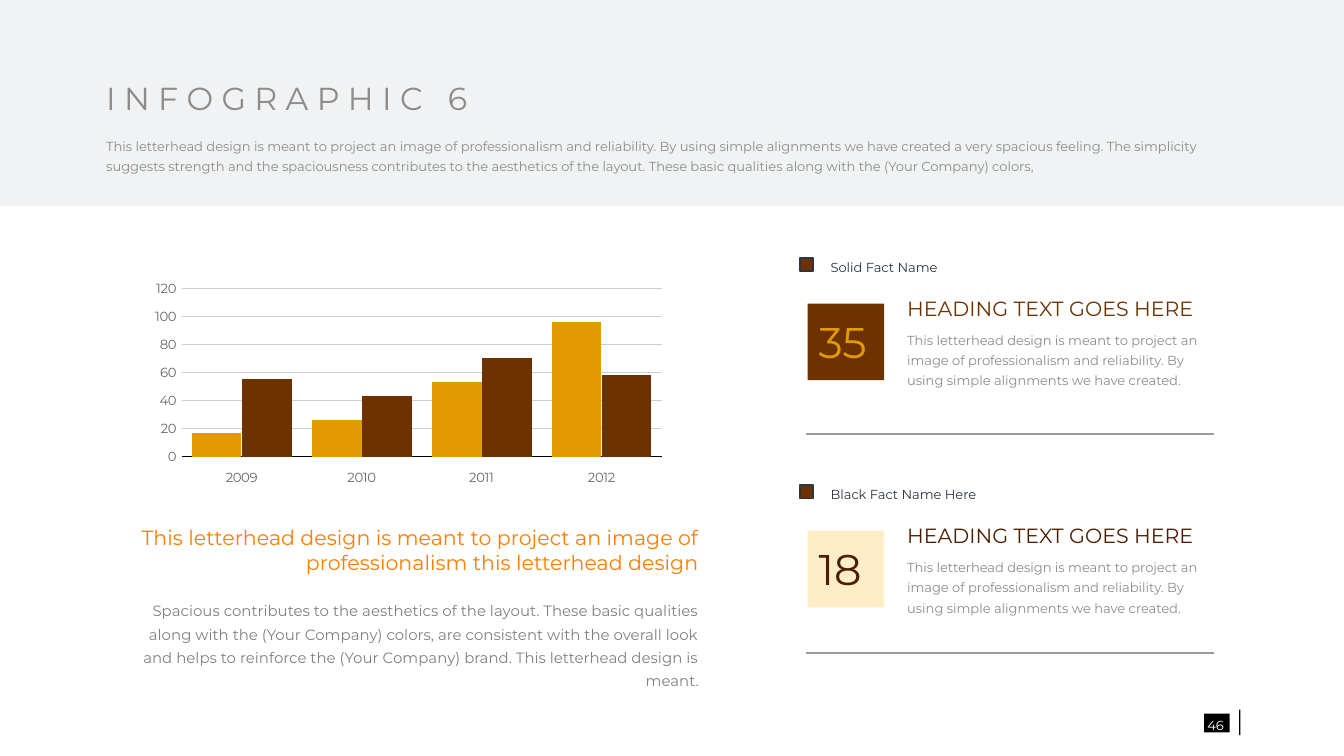
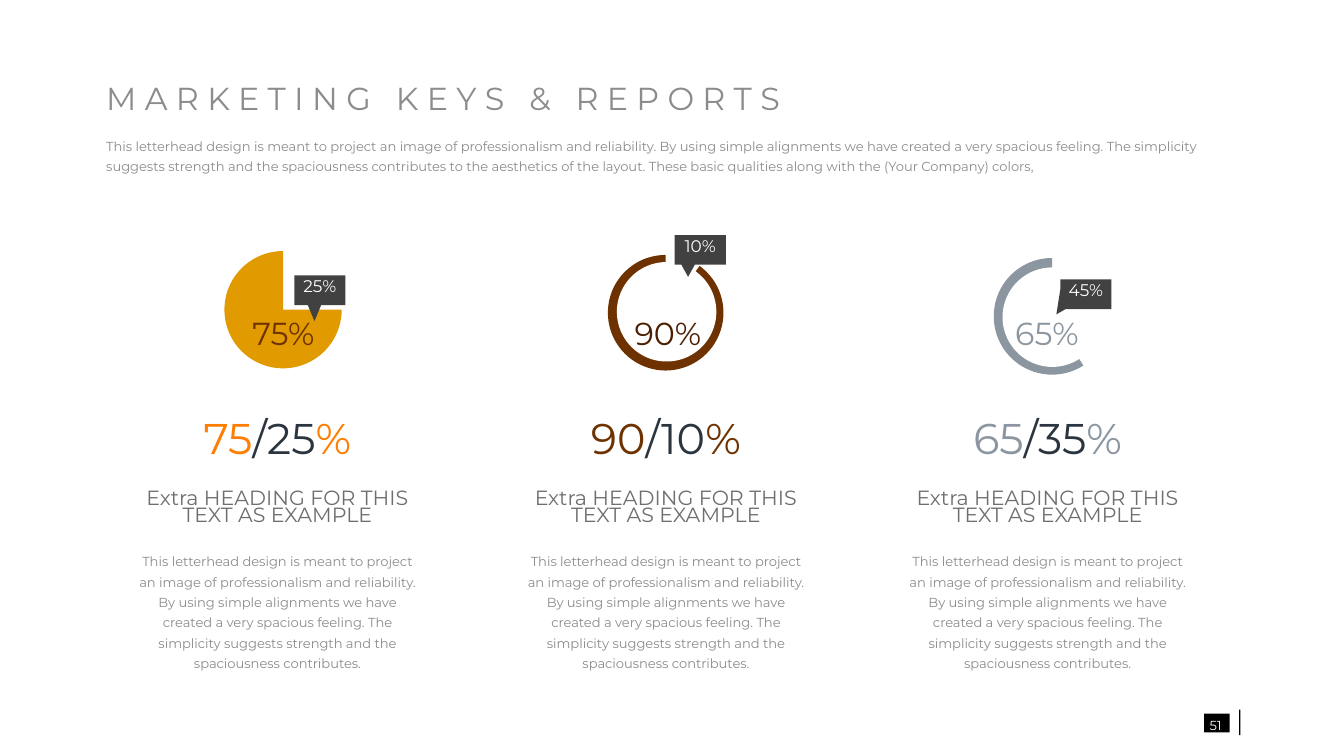
"""Build two report slides: a column chart with facts, and three shares."""
from pptx import Presentation
from pptx.chart.data import CategoryChartData as Data
from pptx.dml.color import RGBColor as RGB
from pptx.enum.chart import XL_CHART_TYPE as Kind
from pptx.enum.chart import XL_TICK_LABEL_POSITION as Label
from pptx.enum.chart import XL_TICK_MARK as Tick
from pptx.enum.shapes import MSO_CONNECTOR as Line
from pptx.enum.shapes import MSO_SHAPE as Shape
from pptx.enum.text import MSO_ANCHOR as Anchor
from pptx.enum.text import PP_ALIGN as Align
from pptx.oxml import parse_xml
from pptx.oxml.ns import nsdecls, qn
from pptx.util import Inches, Pt

FONT = "Montserrat"
GOLD, BROWN, DARK, ORANGE = "E19B00", "6E3200", "4B1E00", "FF7D00"
GRAY, STEEL, NAVY, WHITE = "8C8C8C", "8C96A0", "2B353F", "FFFFFF"
LETTER = "This letterhead design is meant to project an image of professionalism"
SIMPLE = LETTER + " and reliability. By using simple alignments we have created"
INTRO = (SIMPLE + " a very spacious feeling. The simplicity suggests strength and the "
         "spaciousness contributes to the aesthetics of the layout. These basic "
         "qualities along with the (Your Company) colors,")
BODY = (SIMPLE + " a very spacious feeling. The simplicity suggests strength and the "
        "spaciousness contributes.")
SUMMARY = ("Spacious contributes to the aesthetics of the layout. These basic qualities "
           "along with the (Your Company) colors, are consistent with the overall look "
           "and helps to reinforce the (Your Company) brand. This letterhead design is "
           "meant.")


def paint(target, color):
    """Give a fill or a line a solid colour."""
    target.fill.solid()
    target.fill.fore_color.rgb = RGB.from_string(color)


def place(box):
    """Turn a box in inches into lengths."""
    return [Inches(side) for side in box]


def write(slide, text, box, size=7, color=GRAY, align=Align.LEFT, space=1.3,
          anchor=Anchor.MIDDLE):
    """Add a text box from a string or from (text, colour) runs."""
    frame = slide.shapes.add_textbox(*place(box)).text_frame
    frame.word_wrap = True
    frame.vertical_anchor = anchor
    frame.margin_left = frame.margin_right = 0
    frame.margin_top = frame.margin_bottom = 0
    para = frame.paragraphs[0]
    for words, tint in [(text, color)] if isinstance(text, str) else text:
        for row, line in enumerate(words.split("\n")):
            if row:
                para = frame.add_paragraph()
            run = para.add_run()
            run.text = line
            run.font.name = FONT
            run.font.size = Pt(size)
            run.font.color.rgb = RGB.from_string(tint)
    for para in frame.paragraphs:
        para.alignment = align
        para.line_spacing = space


def block(slide, box, color, edge=None, kind=Shape.RECTANGLE):
    """Add a flat shape, outlined only if an edge colour is given."""
    shape = slide.shapes.add_shape(kind, *place(box))
    shape.shadow.inherit = False
    paint(shape, color)
    if edge:
        paint(shape.line, edge)
        shape.line.width = Pt(1)
    else:
        shape.line.fill.background()
    return shape


def rule(slide, left, right, top):
    """Add a thin horizontal divider."""
    line = slide.shapes.add_connector(Line.STRAIGHT, *place((left, top, right, top)))
    paint(line.line, "9B9B9B")
    line.line.width = Pt(1)
    line._element.spPr.append(parse_xml(f"<a:effectLst {nsdecls('a')}/>"))


def head(slide, title, width):
    """Add the spaced title and the introduction."""
    write(slide, " ".join(title), (0.79, 0.6, width, 0.33), size=17, space=0.7)
    write(slide, INTRO, (0.79, 0.99, 8.31, 0.31))


def foot(slide, number):
    """Add the page number box and its bar."""
    block(slide, (8.96, 5.31, 0.19, 0.14), "000000")
    write(slide, number, (8.93, 5.3, 0.23, 0.16), color=WHITE, align=Align.CENTER)
    block(slide, (9.22, 5.28, 0.01, 0.19), "000000")


def graph(slide, kind, box, plot, names, series):
    """Add a chart whose inner plot area has fixed fractions."""
    data = Data()
    data.categories = names
    for name, values in series:
        data.add_series(name, values)
    chart = slide.shapes.add_chart(kind, *place(box), data).chart
    chart.has_legend = chart.has_title = False
    chart.font.name = FONT
    chart.font.size = Pt(7.1)
    chart.font.color.rgb = RGB.from_string("676767")
    chart.plots[0].vary_by_categories = False
    sides = "".join(f'<c:{tag} val="{part}"/>' for tag, part in zip("xywh", plot))
    area = chart._chartSpace.chart.plotArea
    for old in area.findall(qn("c:layout")):
        area.remove(old)
    area.insert(0, parse_xml(
        f'<c:layout {nsdecls("c")}><c:manualLayout><c:layoutTarget val="inner"/>'
        f'<c:xMode val="edge"/><c:yMode val="edge"/>{sides}'
        '</c:manualLayout></c:layout>'))
    return chart


def bars(slide):
    """Add the column chart of four years."""
    chart = graph(slide, Kind.COLUMN_CLUSTERED, (0.91, 1.77, 4.12, 1.87),
                  (0.107, 0.2, 0.867, 0.671), ["2009", "2010", "2011", "2012"],
                  [("Series 1", (17, 26, 53, 96)), ("Series 2", (55, 43, 70, 58))])
    plot = chart.plots[0]
    plot.gap_width, plot.overlap = 40, 0
    for series, color in zip(plot.series, (GOLD, BROWN)):
        paint(series.format, color)
        series.invert_if_negative = False
    years, scale = chart.category_axis, chart.value_axis
    for axis in (years, scale):
        axis.major_tick_mark = axis.minor_tick_mark = Tick.NONE
    years.tick_label_position = Label.LOW
    scale.minimum_scale, scale.maximum_scale, scale.major_unit = 0, 120, 20
    scale.format.line.fill.background()
    grid = scale.major_gridlines.format.line
    for line, color in ((years.format.line, "000000"), (grid, "CDCDCD")):
        paint(line, color)
        line.width = Pt(0.36)


def pie(slide, box, plot, values, color):
    """Add a pie that shows only its second slice."""
    chart = graph(slide, Kind.PIE, box, plot, ["1", "2"], [("Series 1", values)])
    series = chart.plots[0].series[0]
    series.format.fill.background()
    series.format.line.fill.background()
    blank, slab = (series.points[spot].format for spot in range(2))
    blank.fill.background()
    paint(slab, color)
    for look in (blank, slab):
        look.line.fill.background()


def tag(slide, text, left, top, tail):
    """Add a callout whose tail joins the lower right to the upper left."""
    dots = [(0, 0), (0.38, 0), (0.38, 0.22)] + tail
    dots = [(Inches(left + x), Inches(top + y)) for x, y in dots]
    path = slide.shapes.build_freeform(*dots[0])
    path.add_line_segments(dots[1:], close=True)
    shape = path.convert_to_shape()
    shape.shadow.inherit = False
    paint(shape, "414141")
    shape.line.fill.background()
    write(slide, text, (left + 0.02, top + 0.01, 0.34, 0.17), size=9, color=WHITE,
          align=Align.CENTER, space=0.7)


def fact(slide, top, name, width, number, fill, ink, title):
    """Add a named fact with its number, heading and text."""
    block(slide, (5.95, top - 0.34, 0.1, 0.1), BROWN, edge=NAVY)
    write(slide, name, (6.18, top - 0.37, width, 0.16), color=NAVY)
    block(slide, (6.01, top, 0.57, 0.57), fill)
    write(slide, number, (6.09, top + 0.07, 0.42, 0.42), size=23, color=ink, space=1)
    write(slide, "HEADING TEXT GOES HERE", (6.75, top - 0.11, 2.24, 0.32), size=11,
          color=title, space=0.8)
    write(slide, SIMPLE + ".", (6.75, top + 0.17, 2.24, 0.47))


def share(slide, left, first, second, color):
    """Add a column with the split, its heading and text."""
    runs = [(first, color), ("/" + second, NAVY), ("%", color)]
    write(slide, runs, (left, 3.11, 2.11, 0.39), size=23, align=Align.CENTER, space=0.7)
    write(slide, "Extra HEADING FOR THIS\nTEXT AS EXAMPLE", (left, 3.6, 2.11, 0.37),
          size=11, color="6E6E6E", align=Align.CENTER, space=0.7)
    write(slide, BODY, (left, 4.09, 2.11, 0.9), align=Align.CENTER)


def info(slide):
    """Fill the slide with the column chart and two facts."""
    band = block(slide, (-0.04, -0.02, 10.07, 1.55), "DADFE3")
    tint = band._element.spPr.find(qn("a:solidFill"))[0]
    tint.append(parse_xml(f'<a:alpha {nsdecls("a")} val="40000"/>'))
    bars(slide)
    head(slide, "INFOGRAPHIC 6", 4.41)
    write(slide, SUMMARY, (1.04, 4.44, 4.16, 0.56), size=8, color="808080",
          align=Align.RIGHT, anchor=Anchor.TOP)
    write(slide, LETTER + " this letterhead design", (1.04, 3.91, 4.16, 0.47), size=11,
          color=ORANGE, align=Align.RIGHT, space=1, anchor=Anchor.TOP)
    fact(slide, 2.26, "Solid Fact Name", 0.85, "35", BROWN, GOLD, BROWN)
    fact(slide, 3.95, "Black Fact Name Here", 1.15, "18", "FFEDC6", DARK, DARK)
    for top in (3.23, 4.86):
        rule(slide, 6, 9.03, top)
    foot(slide, "46")


def keys(slide):
    """Fill the slide with three shares."""
    head(slide, "MARKETING KEYS & REPORTS", 5.15)
    pie(slide, (1.6, 1.33, 1.01, 1.5), (0.069, 0.304, 0.865, 0.7), (25, 75), GOLD)
    pie(slide, (4.45, 1.36, 1, 1.49), (0.073, 0.302, 0.861, 0.701), (10, 90), BROWN)
    pie(slide, (7.1, 0.92, 1.45, 2.21), (0.203, 0.301, 0.599, 0.702), (41, 59), STEEL)
    for left, top in ((4.59, 1.95), (7.46, 1.99)):
        block(slide, (left, top, 0.74, 0.74), WHITE, kind=Shape.OVAL)
    tag(slide, "25%", 2.19, 2.05, [(0.2, 0.22), (0.15, 0.34), (0.1, 0.22), (0, 0.22)])
    tag(slide, "10%", 5.02, 1.75, [(0.15, 0.22), (0.1, 0.31), (0.05, 0.22), (0, 0.22)])
    tag(slide, "45%", 7.89, 2.08, [(0.04, 0.22), (-0.03, 0.26), (0, 0.07)])
    for text, left, color in (("75%", 1.81, BROWN), ("90%", 4.67, DARK),
                              ("65%", 7.49, STEEL)):
        write(slide, text, (left, 2.34, 0.6, 0.34), size=17, color=color,
              align=Align.CENTER, space=0.7)
    share(slide, 1.01, "75", "25", ORANGE)
    share(slide, 3.9, "90", "10", BROWN)
    share(slide, 6.74, "65", "35", STEEL)
    foot(slide, "51")


def main():
    """Build and save both slides."""
    deck = Presentation()
    deck.slide_width = Inches(10)
    deck.slide_height = Inches(10 * 9 / 16)
    blank = deck.slide_layouts[6]
    info(deck.slides.add_slide(blank))
    keys(deck.slides.add_slide(blank))
    deck.save("out.pptx")


if __name__ == "__main__":
    main()
